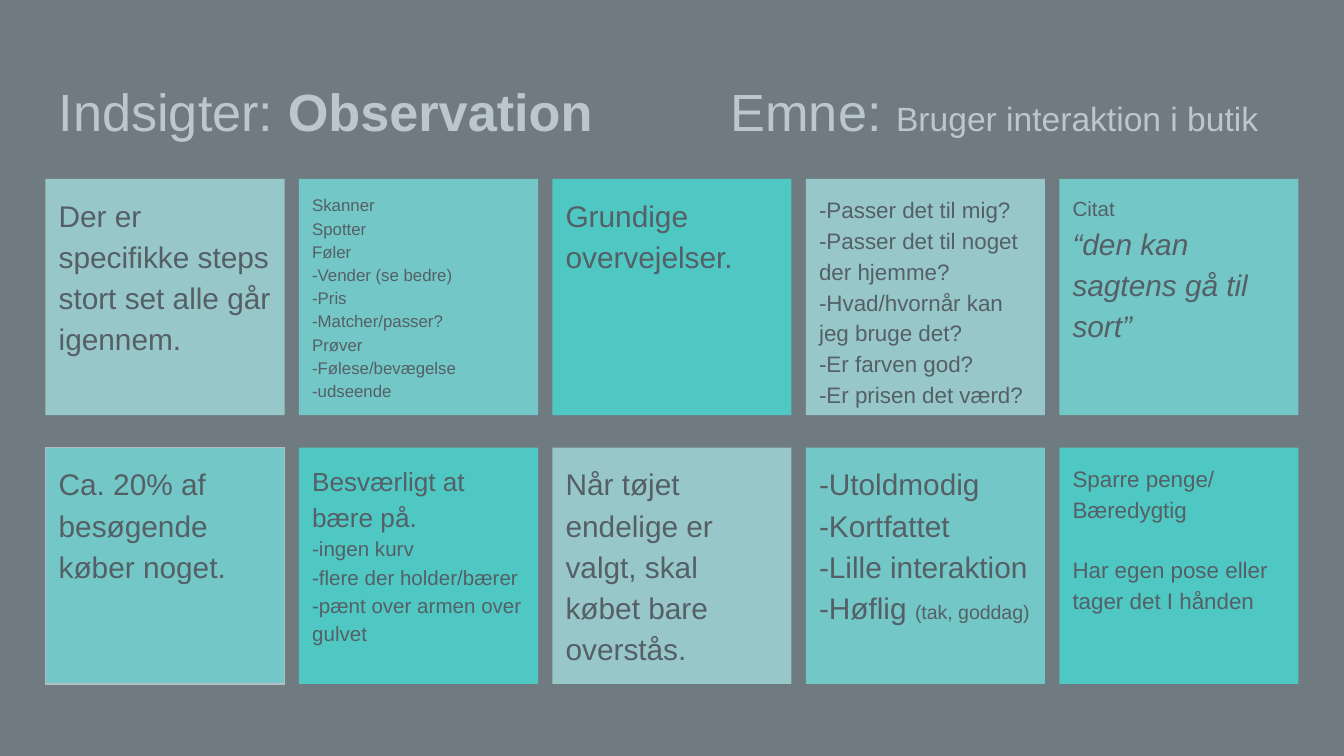
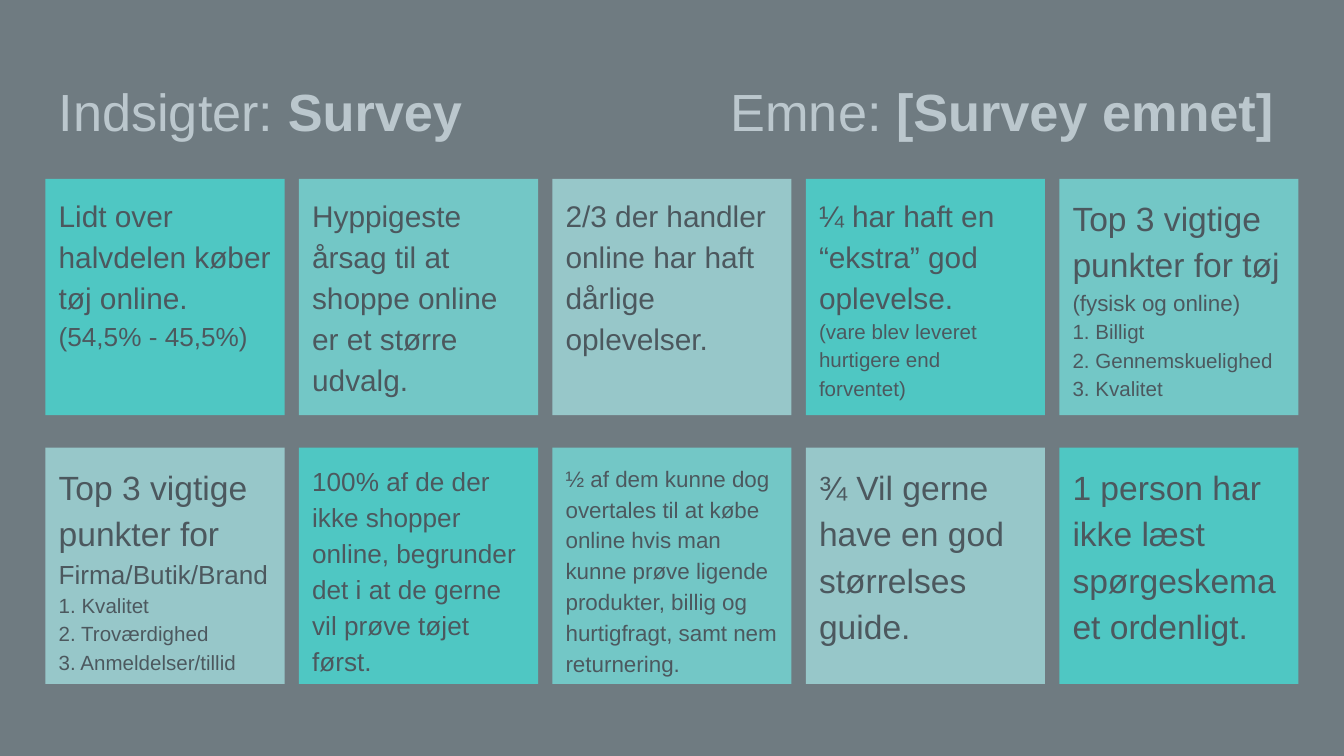
from copy import deepcopy

from lxml.etree import SubElement
from pptx import Presentation
from pptx.dml.color import RGBColor
from pptx.enum.shapes import MSO_SHAPE
from pptx.enum.text import MSO_ANCHOR, MSO_AUTO_SIZE, PP_ALIGN
from pptx.oxml.ns import qn
from pptx.util import Cm, Pt

BACKDROP = RGBColor(0x66, 0x66, 0x66)
VEIL = RGBColor(0x78, 0x90, 0x9C)
WHITE = RGBColor(0xFF, 0xFF, 0xFF)
OUTLINE = RGBColor(0xEE, 0xEE, 0xEE)
PALE = RGBColor(0xB7, 0xFF, 0xF8)
MEDIUM = RGBColor(0x6F, 0xFF, 0xF2)
BRIGHT = RGBColor(0x27, 0xFF, 0xEB)
CHARCOAL = RGBColor(0x30, 0x30, 0x30)
BLACKISH = RGBColor(0x21, 0x21, 0x21)

FONT = "Arial"
SLIDE_SIZE = Cm(25.4), Cm(14.29)
VEIL_SIZE = Cm(25.6), Cm(14.53)
VEIL_OPACITY = 50000
TITLE_BOX = Cm(0.86), Cm(1.24), Cm(23.67), Cm(1.6)
TOPIC_TAB = Cm(12.7)
INSET = Cm(0.25)
CARD_LEFT, CARD_TOP = 0.86, 3.38
CARD_WIDTH, CARD_HEIGHT = 4.52, 4.47
COLUMN_STEP, ROW_STEP = 4.79, 5.08

# Each card is a list of paragraphs; each paragraph is a list of (text, size, style).
INSIGHTS = [
    {
        "title": [
            ("Indsigter:", 28, ""),
            (" Observation\t", 28, "bold"),
            ("Emne: ", 28, ""),
            ("Bruger interaktion i butik", 18, ""),
        ],
        "ink": CHARCOAL,
        "fills": (PALE, MEDIUM, BRIGHT),
        "row_shift": 1,
        "outlined": (1, 0),
        "rows": [
            [
                [[("Der er specifikke steps stort set alle går igennem.", 16, "")]],
                [[("Skanner\nSpotter\nFøler\n-Vender (se bedre)\n-Pris\n-Matcher/passer?\n"
                   "Prøver\n-Følese/bevægelse\n-udseende", 9, "")]],
                [[("Grundige overvejelser.", 16, "")]],
                [[("-Passer det til mig?\n-Passer det til noget der hjemme?\n"
                   "-Hvad/hvornår kan jeg bruge det?\n-Er farven god?\n"
                   "-Er prisen det værd?", 12, "")]],
                [[("Citat\n", 11, ""), ("“den kan sagtens gå til sort”", 16, "italic")]],
            ],
            [
                [[("Ca. 20% af besøgende køber noget.", 16, "")]],
                [[("Besværligt at bære på.\n", 14, ""),
                  ("-ingen kurv\n-flere der holder/bærer\n-pænt over armen over gulvet", 11, "")]],
                [[("Når tøjet endelige er valgt, skal købet bare overstås.", 16, "")]],
                [[("-Utoldmodig\n-Kortfattet\n-Lille interaktion\n-Høflig ", 16, ""),
                  ("(tak, goddag)", 10.5, "")]],
                [[("Sparre penge/ Bæredygtig", 12, "")],
                 [("Har egen pose eller tager det I hånden", 12, "")]],
            ],
        ],
    },
    {
        "title": [
            ("Indsigter:", 28, ""),
            (" Survey\t", 28, "bold"),
            ("Emne:", 28, ""),
            (" [Survey emnet]", 28, "bold"),
        ],
        "ink": BLACKISH,
        "fills": (BRIGHT, MEDIUM, PALE),
        "row_shift": 2,
        "outlined": None,
        "rows": [
            [
                [[("Lidt over halvdelen køber tøj online.\n", 16, ""),
                  ("(54,5% - 45,5%)", 14, "")]],
                [[("Hyppigeste årsag til at shoppe online er et større udvalg.", 16, "")]],
                [[("2/3 der handler online har haft dårlige oplevelser.", 16, "")]],
                [[("¼ har haft en “ekstra” god oplevelse.\n", 16, ""),
                  ("(vare blev leveret hurtigere end forventet)", 11, "")]],
                [[("Top 3 vigtige punkter for tøj ", 18, ""),
                  ("(fysisk og online)\n", 12, ""),
                  ("1. Billigt\n2. Gennemskuelighed\n3. Kvalitet", 11, "")]],
            ],
            [
                [[("Top 3 vigtige punkter for ", 18, ""),
                  ("Firma/Butik/Brand\n", 14, ""),
                  ("1. Kvalitet\n2. Troværdighed\n3. Anmeldelser/tillid", 11, "")]],
                [[("100% af de der ikke shopper online, begrunder det i at de gerne "
                   "vil prøve tøjet først.", 14, "")]],
                [[("½ af dem kunne dog overtales til at købe online hvis man kunne prøve "
                   "ligende produkter, billig og hurtigfragt, samt nem returnering.", 12, "")]],
                [[("¾ Vil gerne have en god størrelses guide.", 18, "")]],
                [[("1 person har ikke læst spørgeskemaet ordenligt.", 18, "")]],
            ],
        ],
    },
]


def add_runs(paragraph, pieces, ink):
    paragraph.alignment = PP_ALIGN.LEFT
    for text, size, style in pieces:
        for index, line in enumerate(text.split("\n")):
            if index:
                line_break = paragraph._p.add_br()
                line_break.append(deepcopy(run._r.rPr))
            if line:
                run = paragraph.add_run()
                run.text = line
                run.font.name = FONT
                run.font.size = Pt(size)
                run.font.color.rgb = ink
                run.font.bold = style == "bold"
                run.font.italic = style == "italic"


def prepare_frame(frame):
    frame.word_wrap = True
    frame.auto_size = MSO_AUTO_SIZE.NONE
    frame.vertical_anchor = MSO_ANCHOR.TOP
    frame.margin_left = frame.margin_right = INSET
    frame.margin_top = frame.margin_bottom = INSET


def add_block(slide, left, top, width, height, fill):
    block = slide.shapes.add_shape(MSO_SHAPE.RECTANGLE, left, top, width, height)
    block.shadow.inherit = False
    block.fill.solid()
    block.fill.fore_color.rgb = fill
    block.line.fill.background()
    return block


def fill_title(title, pieces):
    title.left, title.top, title.width, title.height = TITLE_BOX
    prepare_frame(title.text_frame)
    paragraph = title.text_frame.paragraphs[0]
    add_runs(paragraph, pieces, WHITE)
    tabs = SubElement(paragraph._p.get_or_add_pPr(), qn("a:tabLst"))
    SubElement(tabs, qn("a:tab"), pos=str(TOPIC_TAB), algn="l")


def add_card(slide, row, column, paragraphs, fill, ink):
    left = Cm(CARD_LEFT + column * COLUMN_STEP)
    top = Cm(CARD_TOP + row * ROW_STEP)
    card = add_block(slide, left, top, Cm(CARD_WIDTH), Cm(CARD_HEIGHT), fill)
    frame = card.text_frame
    prepare_frame(frame)
    for index, pieces in enumerate(paragraphs):
        paragraph = frame.add_paragraph() if index else frame.paragraphs[0]
        paragraph.line_spacing = 1.15
        paragraph.space_after = Pt(16)
        add_runs(paragraph, pieces, ink)
    return card


def add_veil(slide):
    veil = add_block(slide, 0, 0, *VEIL_SIZE, VEIL)
    color = veil.fill._xPr.find(qn("a:solidFill"))[0]
    SubElement(color, qn("a:alpha"), val=str(VEIL_OPACITY))


def build_slide(deck, insight):
    slide = deck.slides.add_slide(deck.slide_layouts[5])
    slide.background.fill.solid()
    slide.background.fill.fore_color.rgb = BACKDROP
    fill_title(slide.shapes.title, insight["title"])
    fills = insight["fills"]
    for row, cards in enumerate(insight["rows"]):
        for column, paragraphs in enumerate(cards):
            fill = fills[(column + row * insight["row_shift"]) % len(fills)]
            card = add_card(slide, row, column, paragraphs, fill, insight["ink"])
            if (row, column) == insight["outlined"]:
                card.line.color.rgb = OUTLINE
                card.line.width = Pt(0.75)
    add_veil(slide)


def main():
    deck = Presentation()
    deck.slide_width, deck.slide_height = SLIDE_SIZE
    for insight in INSIGHTS:
        build_slide(deck, insight)
    deck.save("out.pptx")


if __name__ == "__main__":
    main()
